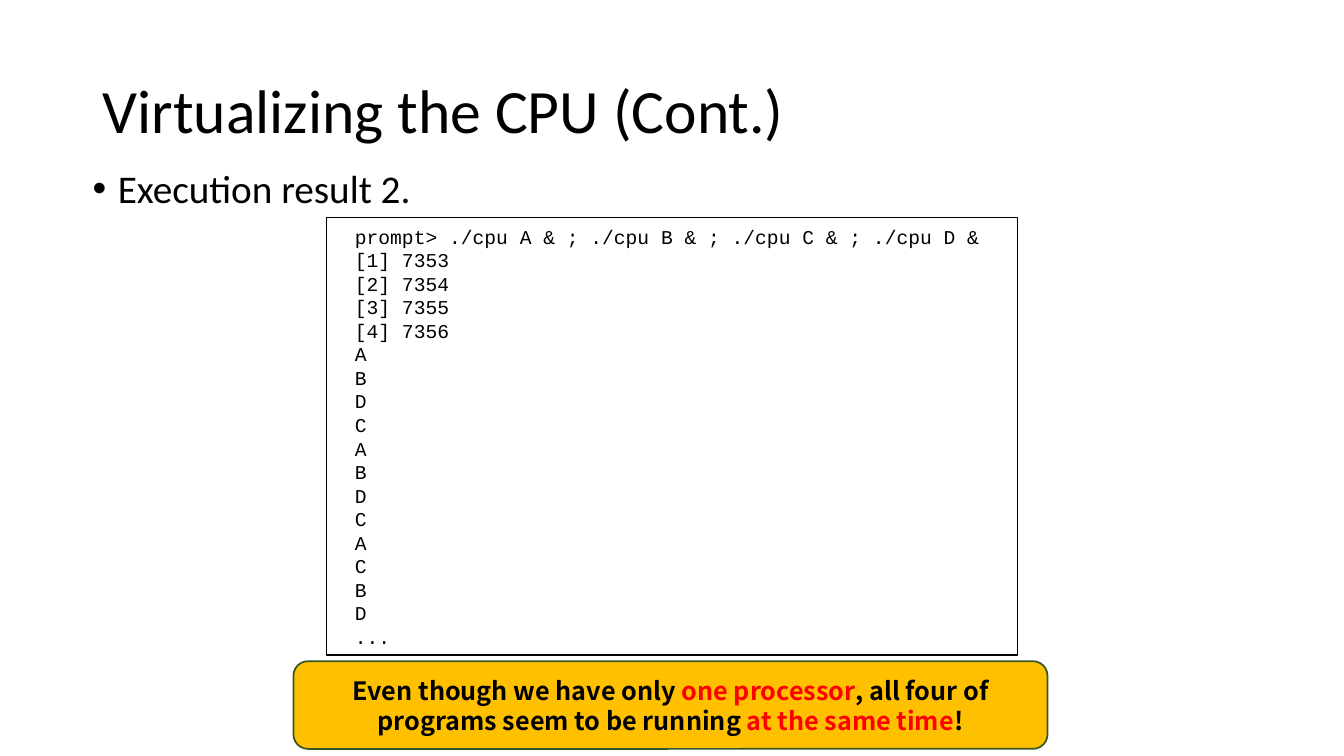
from lxml import etree
from pptx import Presentation
from pptx.dml.color import RGBColor
from pptx.enum.shapes import MSO_SHAPE
from pptx.enum.text import MSO_ANCHOR, MSO_AUTO_SIZE, PP_ALIGN
from pptx.oxml.ns import qn
from pptx.util import Inches, Pt

COLORS = {
    "black": "000000",
    "white": "FFFFFF",
    "red": "FF0000",
    "gold": "FFC000",
    "green": "385723",
}


def add_run(paragraph, text, size, font, color="black", bold=False):
    run = paragraph.add_run()
    run.text = text
    run.font.size = Pt(size)
    run.font.name = font
    run.font.bold = bold
    run.font.color.rgb = RGBColor.from_string(COLORS[color])
    # East Asian face as well, so that every script uses the same font
    etree.SubElement(run.font._element, qn("a:ea")).set("typeface", font)


def add_panel(preset, box, fill, line, line_width, margins):
    panel = slide.shapes.add_shape(preset, *[Inches(v) for v in box])
    panel.shadow.inherit = False
    panel.fill.solid()
    panel.fill.fore_color.rgb = RGBColor.from_string(COLORS[fill])
    panel.line.color.rgb = RGBColor.from_string(COLORS[line])
    panel.line.width = Pt(line_width)
    frame = panel.text_frame
    frame.word_wrap = True
    frame.vertical_anchor = MSO_ANCHOR.MIDDLE
    frame.margin_left, frame.margin_right = [Inches(v) for v in margins]
    return frame


prs = Presentation()
prs.slide_width = Inches(13.33)
prs.slide_height = Inches(7.5)
slide = prs.slides.add_slide(prs.slide_layouts[6])

# Title
title = slide.shapes.add_textbox(
    Inches(0.92), Inches(0.4), Inches(11.5), Inches(1.45)).text_frame
title.word_wrap = True
title.vertical_anchor = MSO_ANCHOR.MIDDLE
title.paragraphs[0].line_spacing = 0.9
add_run(title.paragraphs[0], "Virtualizing the CPU (Cont.)", 44, "Calibri")

# Bullet
body = slide.shapes.add_textbox(
    Inches(0.82), Inches(1.63), Inches(11.5), Inches(4.76)).text_frame
body.word_wrap = True
result = body.paragraphs[0]
result.line_spacing = 0.9
bullet = result._p.get_or_add_pPr()
bullet.set("marL", str(Inches(0.25)))
bullet.set("indent", str(Inches(-0.25)))
etree.SubElement(bullet, qn("a:buFont")).set("typeface", "Arial")
etree.SubElement(bullet, qn("a:buChar")).set("char", "•")
add_run(result, "Execution result 2.", 28, "Calibri")

# Terminal output
output = [
    "prompt> ./cpu A & ; ./cpu B & ; ./cpu C & ; ./cpu D &",
    *[f"[{job}] {7352 + job}" for job in range(1, 5)],
    *"ABDCABDCACBD",
    "...",
]
terminal = add_panel(MSO_SHAPE.RECTANGLE, (3.24, 2.16, 6.85, 4.34),
                     "white", "black", 1, (0.28, 0.1))
terminal.auto_size = MSO_AUTO_SIZE.SHAPE_TO_FIT_TEXT
for i, text in enumerate(output):
    row = terminal.add_paragraph() if i else terminal.paragraphs[0]
    row.alignment = PP_ALIGN.LEFT
    add_run(row, text, 14, "Courier New")

# Takeaway
takeaway = add_panel(MSO_SHAPE.ROUNDED_RECTANGLE, (2.91, 6.56, 7.48, 0.87),
                     "gold", "green", 1.25, (0.12, 0.12)).paragraphs[0]
takeaway.alignment = PP_ALIGN.CENTER
for text, color in [
    ("Even though we have only ", "black"),
    ("one processor", "red"),
    (", all four of programs seem to be running ", "black"),
    ("at the same time", "red"),
    ("!", "black"),
]:
    add_run(takeaway, text, 18, "Noto Sans CJK KR", color, bold=True)

prs.save("out.pptx")
